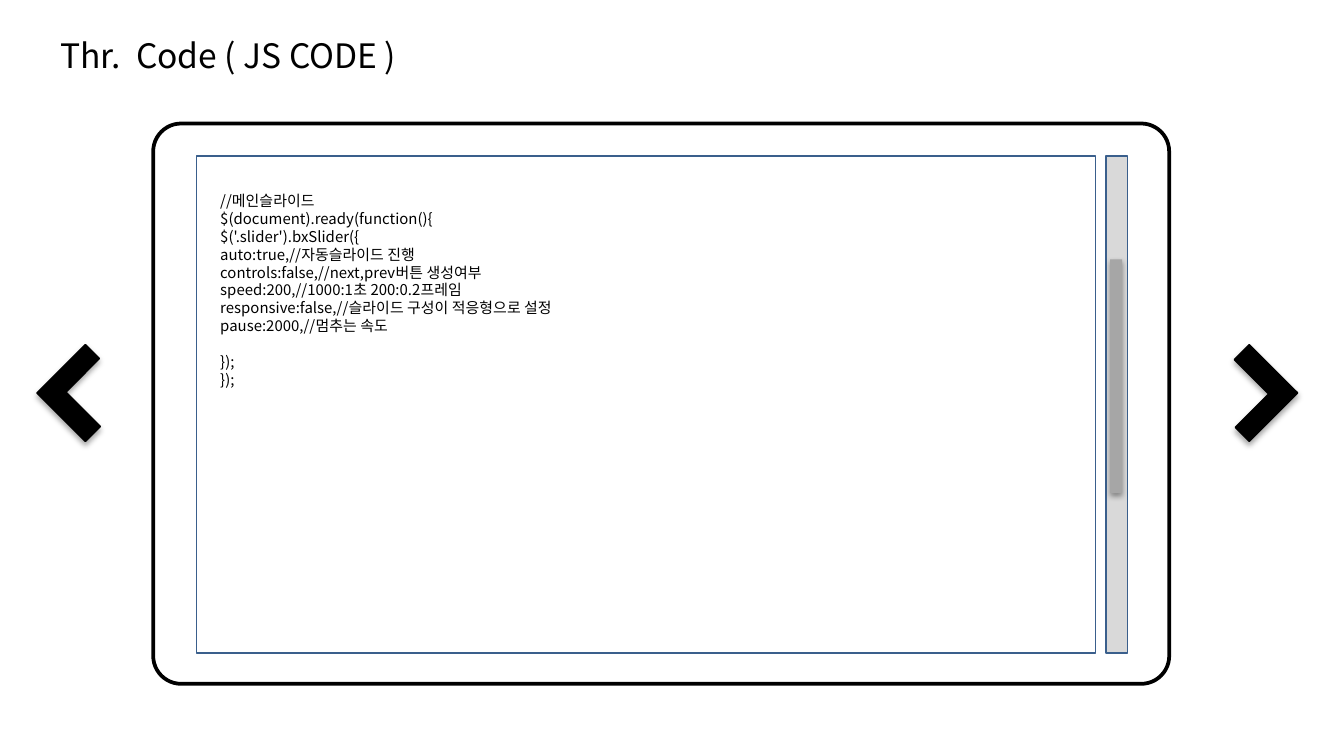
from lxml.etree import SubElement
from pptx import Presentation
from pptx.dml.color import RGBColor
from pptx.enum.shapes import MSO_SHAPE
from pptx.enum.text import MSO_AUTO_SIZE
from pptx.oxml.ns import qn
from pptx.util import Pt

CODE = [
    "//메인슬라이드",
    "$(document).ready(function(){",
    "$('.slider').bxSlider({",
    "auto:true,//자동슬라이드 진행",
    "controls:false,//next,prev버튼 생성여부",
    "speed:200,//1000:1초 200:0.2프레임",
    "responsive:false,//슬라이드 구성이 적응형으로 설정",
    "pause:2000,//멈추는 속도",
    "});",
    "});",
]


def paint(part, color):
    part.solid()
    part.fore_color.rgb = RGBColor.from_string(color)


class Deck:
    """Draws styled parts on the current slide."""

    font = "Noto Sans CJK KR"
    ink = "000000"
    paper = "FFFFFF"
    edge = "3A5F8C"

    def __init__(self, slide):
        self.slide = slide

    def shape(self, kind, box, fill, line=None, width=0.75, adjust=(), turn=0):
        form = self.slide.shapes.add_shape(kind, *map(Pt, box))
        form.shadow.inherit = False
        form.rotation = turn
        for i, value in enumerate(adjust):
            form.adjustments[i] = value
        paint(form.fill, fill)
        if line:
            paint(form.line.fill, line)
            form.line.width = Pt(width)
        else:
            form.line.fill.background()
        return form

    def shade(self, form, alpha, drop):
        effects = form._element.spPr.find(qn("a:effectLst"))
        outer = SubElement(effects, qn("a:outerShdw"), blurRad=str(Pt(3.1)),
                           dist=str(Pt(drop)), dir="5400000", rotWithShape="0")
        color = SubElement(outer, qn("a:srgbClr"), val=self.ink)
        SubElement(color, qn("a:alpha"), val=str(alpha * 1000))

    def arrow(self, left, turn):
        form = self.shape(MSO_SHAPE.CORNER, (left, 192.2, 36.7, 36.7), self.ink,
                          self.ink, adjust=(0.31, 0.29), turn=turn)
        self.shade(form, 35, 1.8)

    def text(self, box, lines, size, inset=3.6, pitch=None, gaps=()):
        frame = self.slide.shapes.add_textbox(*map(Pt, box)).text_frame
        frame.word_wrap = True
        frame.auto_size = MSO_AUTO_SIZE.SHAPE_TO_FIT_TEXT
        frame.margin_top = Pt(inset)
        for i, line in enumerate(lines):
            para = frame.add_paragraph() if i else frame.paragraphs[0]
            if pitch:
                para.line_spacing = Pt(pitch)
            if i in gaps:
                para.space_before = Pt(pitch)
            run = para.add_run()
            run.text = line
            run.font.size = Pt(size)
            run.font.name = self.font
            paint(run.font.fill, self.ink)
            SubElement(run._r.get_or_add_rPr(), qn("a:ea"), typeface=self.font)


def main():
    show = Presentation()
    show.slide_width, show.slide_height = Pt(720), Pt(405)
    deck = Deck(show.slides.add_slide(show.slide_layouts[6]))

    deck.text((25.2, 15.1, 493.2, 28.8), ["Thr.  Code ( JS CODE )"], 18)
    for left, turn in ((27.4, 45), (650.9, 225)):
        deck.arrow(left, turn)

    deck.shape(MSO_SHAPE.ROUNDED_RECTANGLE, (82.1, 66.2, 544.3, 300.2),
               deck.paper, deck.ink, 2, (0.05,))
    for left, width, fill in ((105.1, 481.7, deck.paper), (592.6, 11.5, "D9D9D9")):
        deck.shape(MSO_SHAPE.RECTANGLE, (left, 83.5, width, 266.4), fill, deck.edge)
    thumb = deck.shape(MSO_SHAPE.RECTANGLE, (594.7, 139, 6.5, 125.3), "A6A6A6")
    deck.shade(thumb, 38, 1.6)

    pitch = 9.6
    deck.text((110.9, 89.3, 475.9, 123.8), CODE, 8, 3.6 + pitch, pitch, (8,))
    show.save("out.pptx")


if __name__ == "__main__":
    main()
